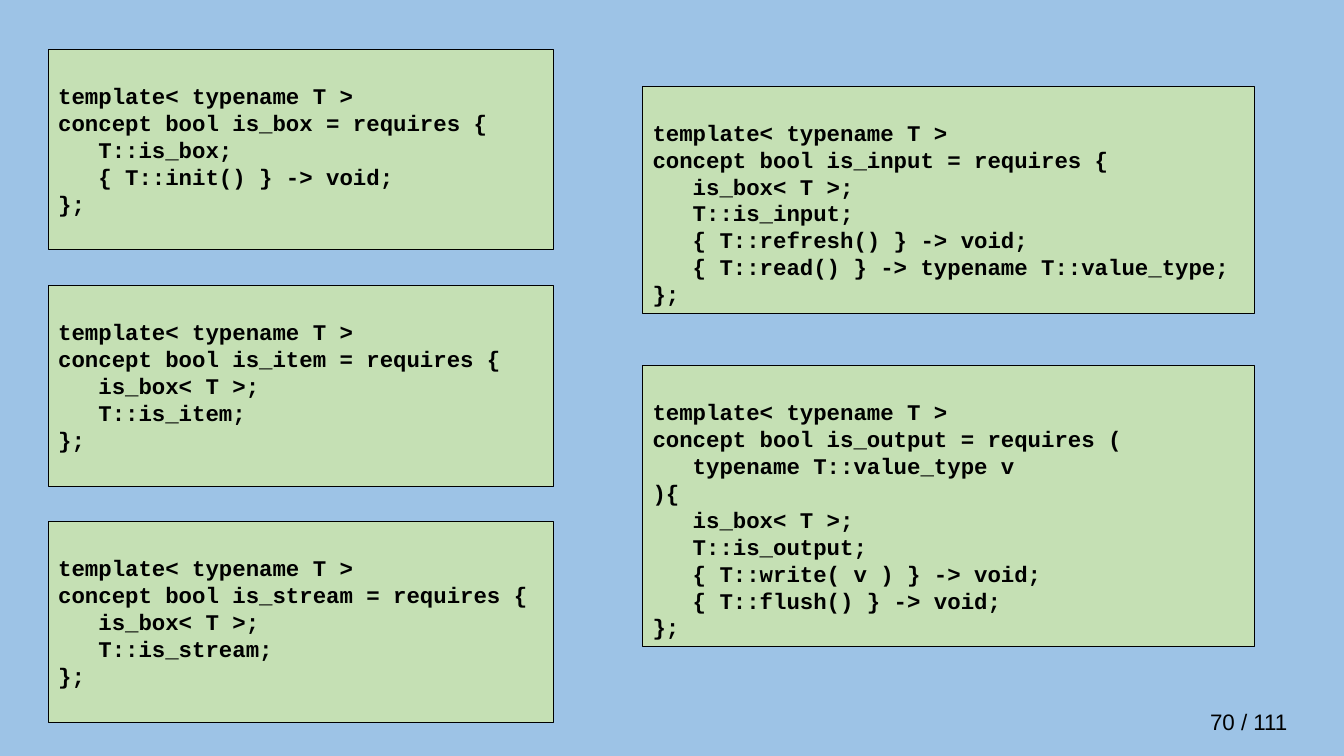
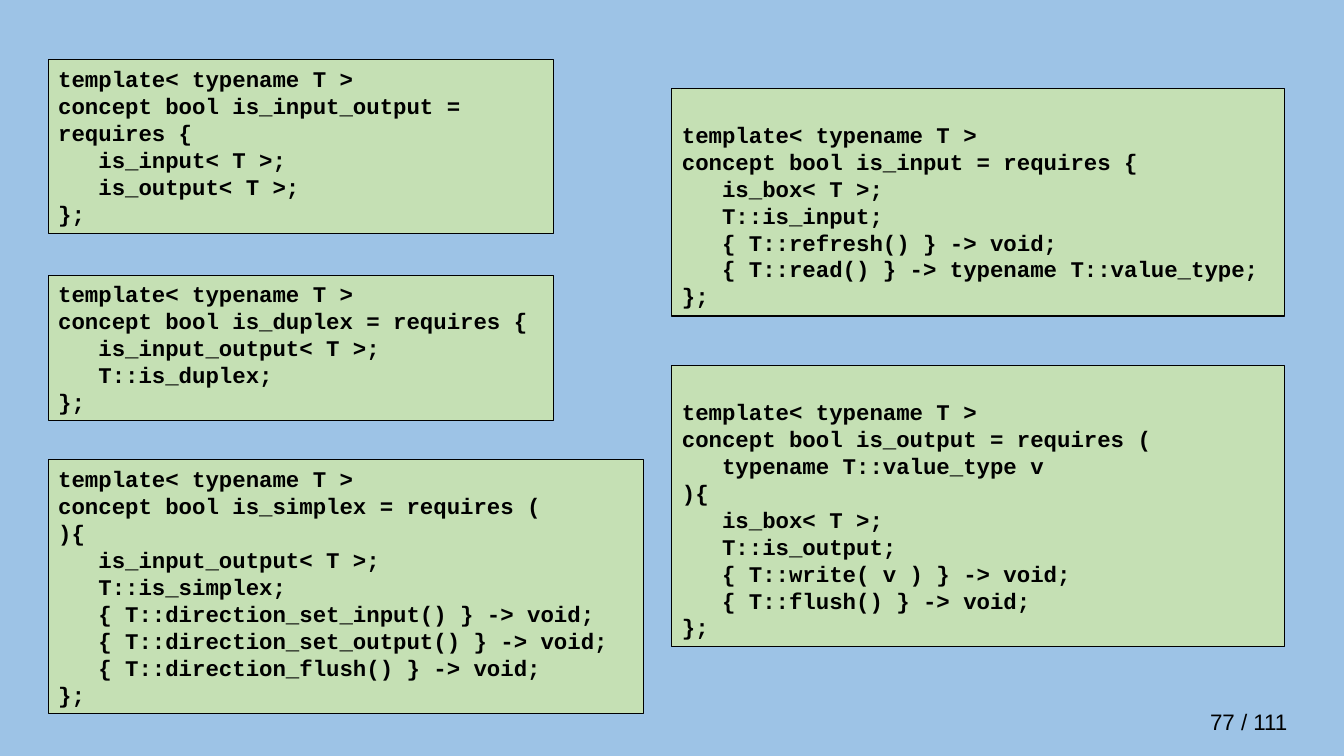
from dataclasses import dataclass

from pptx import Presentation
from pptx.dml.color import RGBColor
from pptx.enum.shapes import MSO_SHAPE as Shape
from pptx.enum.text import MSO_ANCHOR as Anchor, PP_ALIGN as Align
from pptx.util import Emu, Pt

PX = 9525
SKY = "9DC3E6"
LEAF = "C5E0B4"
INK = "000000"
MONO = "Courier New"
SANS = "Arial"
SIZE = 16
PITCH = 19.25
PAD = 5
DROP = 31
TOTAL = 111

LEFT = 46
NARROW = 481
WIDE = 583
TALL = 191
STEP = 225

BOX = """concept bool is_box = requires {
   T::is_box;
   { T::init() } -> void;
};"""

ITEM = """concept bool is_item = requires {
   is_box< T >;
   T::is_item;
};"""

STREAM = """concept bool is_stream = requires {
   is_box< T >;
   T::is_stream;
};"""

INPUT = """concept bool is_input = requires {
   is_box< T >;
   T::is_input;
   { T::refresh() } -> void;
   { T::read() } -> typename T::value_type;
};"""

OUTPUT = """concept bool is_output = requires (
   typename T::value_type v
){
   is_box< T >;
   T::is_output;
   { T::write( v ) } -> void;
   { T::flush() } -> void;
};"""

BOTH = """concept bool is_input_output = requires {
   is_input< T >;
   is_output< T >;
};"""

DUPLEX = """concept bool is_duplex = requires {
   is_input_output< T >;
   T::is_duplex;
};"""

SIMPLEX = """concept bool is_simplex = requires (
){
   is_input_output< T >;
   T::is_simplex;
   { T::direction_set_input() } -> void;
   { T::direction_set_output() } -> void;
   { T::direction_flush() } -> void;
};"""


@dataclass(frozen=True)
class Card:
    code: str
    x: int
    y: int
    w: int
    h: int
    top: int = DROP


@dataclass(frozen=True)
class Page:
    number: int
    cards: list[Card]


def px(count: int) -> Emu:
    return Emu(count * PX)


def color(text: str) -> RGBColor:
    return RGBColor.from_string(text)


def style(frame, face: str, bold: bool) -> None:
    for line in frame.paragraphs:
        line.alignment = Align.LEFT
        for run in line.runs:
            run.font.name = face
            run.font.size = Pt(SIZE)
            run.font.bold = bold
            run.font.color.rgb = color(INK)


def draw_card(slide, card: Card) -> None:
    shape = slide.shapes.add_shape(
        Shape.RECTANGLE, px(card.x), px(card.y), px(card.w), px(card.h))
    shape.shadow.inherit = False
    shape.fill.solid()
    shape.fill.fore_color.rgb = color(LEAF)
    shape.line.color.rgb = color(INK)
    shape.line.width = Pt(0.75)
    frame = shape.text_frame
    frame.word_wrap = True
    frame.vertical_anchor = Anchor.TOP
    frame.margin_top = px(card.top)
    frame.margin_bottom = px(PAD)
    frame.text = "template< typename T >\n" + card.code
    style(frame, MONO, True)
    for line in frame.paragraphs:
        line.line_spacing = Pt(PITCH)


def draw_count(slide, number: int) -> None:
    box = slide.shapes.add_textbox(px(1143), px(670), px(120), px(36))
    frame = box.text_frame
    frame.word_wrap = True
    frame.text = f"{number} / {TOTAL}"
    style(frame, SANS, False)


def pair(x: int, y: int) -> list[Card]:
    return [Card(INPUT, x, y, WIDE, 217), Card(OUTPUT, x, 348, WIDE, 268)]


PAGES = [
    Page(70, [
        *(Card(code, LEFT, 47 + row * STEP, NARROW, TALL)
          for row, code in enumerate((BOX, ITEM, STREAM))),
        *pair(612, 82),
    ]),
    Page(77, [
        Card(BOTH, LEFT, 57, NARROW, 165, PAD),
        Card(DUPLEX, LEFT, 262, NARROW, 139, PAD),
        Card(SIMPLEX, LEFT, 438, 567, 242, PAD),
        *pair(640, 84),
    ]),
]


def main() -> None:
    deck = Presentation()
    deck.slide_width = px(1280)
    deck.slide_height = px(720)
    back = deck.slide_master.background.fill
    back.solid()
    back.fore_color.rgb = color(SKY)
    for page in PAGES:
        slide = deck.slides.add_slide(deck.slide_layouts[6])
        draw_count(slide, page.number)
        for card in page.cards:
            draw_card(slide, card)
    deck.save("out.pptx")


if __name__ == "__main__":
    main()
